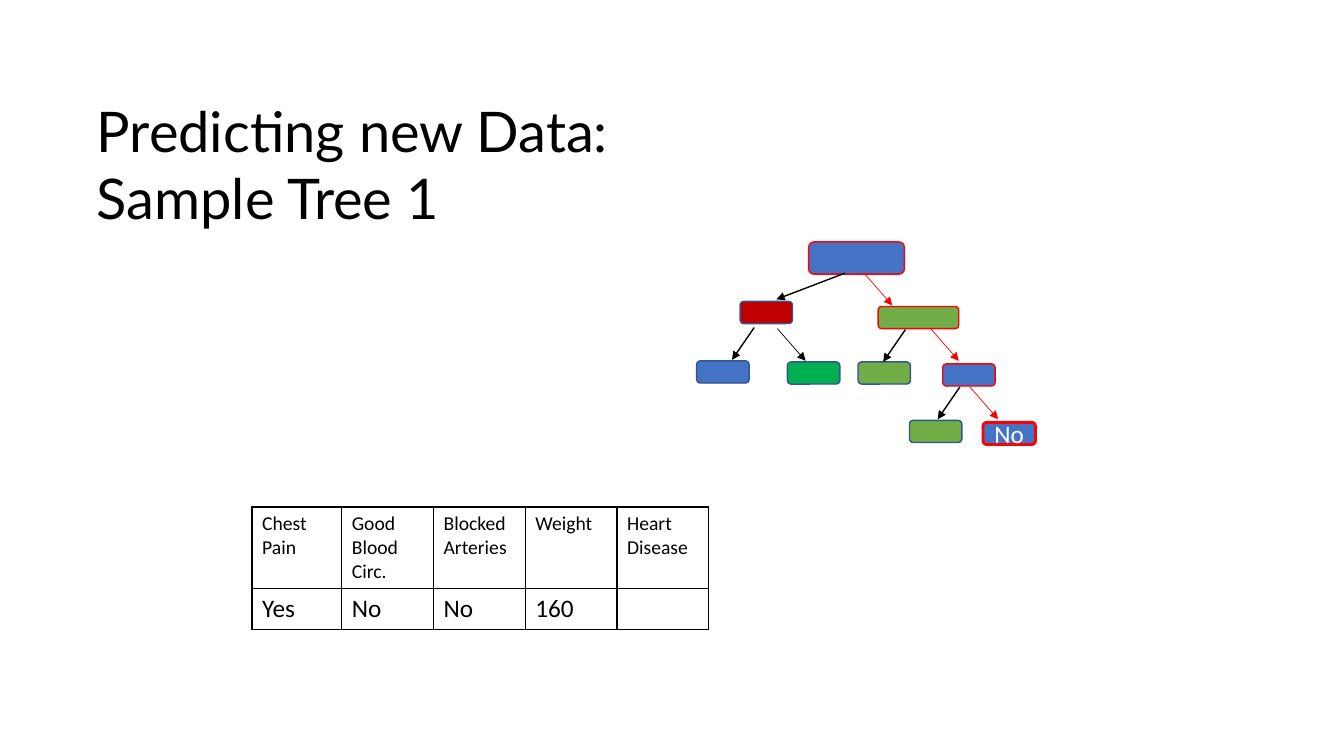
from lxml import etree
from pptx import Presentation
from pptx.dml.color import RGBColor
from pptx.enum.shapes import MSO_CONNECTOR as Connector, MSO_SHAPE as Shape
from pptx.enum.text import MSO_ANCHOR as Anchor, PP_ALIGN as Align
from pptx.oxml import parse_xml
from pptx.oxml.ns import nsdecls, qn
from pptx.util import Inches, Pt

BLACK = RGBColor(0x00, 0x00, 0x00)
WHITE = RGBColor(0xFF, 0xFF, 0xFF)
RED = RGBColor(0xFF, 0x00, 0x00)
DARK_RED = RGBColor(0xC0, 0x00, 0x00)
BLUE = RGBColor(0x44, 0x72, 0xC4)
EDGE_BLUE = RGBColor(0x32, 0x54, 0x91)
GREEN = RGBColor(0x70, 0xAD, 0x47)
BRIGHT_GREEN = RGBColor(0x00, 0xB0, 0x50)


class TreeSlide:
    title_font = "Lato"
    body_font = "Calibri"

    def __init__(self, deck):
        self.slide = deck.slides.add_slide(deck.slide_layouts[5])
        self.shapes = self.slide.shapes

    def style(self, paragraph, size, color, font=body_font, align=Align.LEFT):
        paragraph.alignment = align
        paragraph.font.name = font
        paragraph.font.size = Pt(size)
        paragraph.font.color.rgb = color

    def title(self, text, left, top, width, height):
        heading = self.shapes.title
        heading.left, heading.top = Inches(left), Inches(top)
        heading.width, heading.height = Inches(width), Inches(height)
        frame = heading.text_frame
        frame.text = text
        frame.word_wrap = True
        frame.vertical_anchor = Anchor.TOP
        self.style(frame.paragraphs[0], 40, BLACK, self.title_font)

    def node(self, left, top, fill, edge=EDGE_BLUE, width=0.52, height=0.22,
             weight=1, label=None):
        box = self.shapes.add_shape(
            Shape.ROUNDED_RECTANGLE, Inches(left), Inches(top), Inches(width), Inches(height))
        box.shadow.inherit = False
        box.fill.solid()
        box.fill.fore_color.rgb = fill
        box.line.color.rgb = edge
        box.line.width = Pt(weight)
        if label:
            frame = box.text_frame
            frame.text = label
            frame.vertical_anchor = Anchor.MIDDLE
            self.style(frame.paragraphs[0], 18, WHITE, align=Align.CENTER)

    def branch(self, x, y, dx, dy=0.32, color=BLACK, weight=1):
        arrow = self.shapes.add_connector(
            Connector.STRAIGHT, Inches(x), Inches(y), Inches(x + dx), Inches(y + dy))
        arrow.line.color.rgb = color
        arrow.line.width = Pt(weight)
        etree.SubElement(arrow.line._get_or_add_ln(), qn("a:tailEnd"), type="triangle")
        etree.SubElement(arrow._element.spPr, qn("a:effectLst"))

    def table(self, left, top, widths, heights, rows, sizes):
        grid = self.shapes.add_table(
            len(rows), len(widths), Inches(left), Inches(top),
            Inches(sum(widths)), Inches(sum(heights))).table
        grid.first_row = grid.horz_banding = False
        for column, width in zip(grid.columns, widths):
            column.width = Inches(width)
        for row, height, texts, size in zip(grid.rows, heights, rows, sizes):
            row.height = Inches(height)
            for cell, text in zip(row.cells, texts):
                cell.text = text
                for paragraph in cell.text_frame.paragraphs:
                    self.style(paragraph, size, BLACK)
                self.outline(cell)
                cell.fill.background()

    def outline(self, cell):
        properties = cell._tc.get_or_add_tcPr()
        for side in ("lnL", "lnR", "lnT", "lnB"):
            properties.append(parse_xml(
                f'<a:{side} {nsdecls("a")} w="{Pt(1)}"><a:solidFill>'
                f'<a:srgbClr val="{BLACK}"/></a:solidFill></a:{side}>'))


def main():
    deck = Presentation()
    deck.slide_width, deck.slide_height = Inches(13.33), Inches(7.5)
    page = TreeSlide(deck)
    page.title("Predicting new Data: Sample Tree 1", 0.86, 0.91, 6.15, 1.45)
    page.table(
        2.5, 5.03, [0.89] + [0.91] * 4, [0.8, 0.4],
        [["Chest Pain", "Good\nBlood\nCirc.", "Blocked\nArteries", "Weight", "Heart\nDisease"],
         ["Yes", "No", "No", "160", ""]],
        [14, 18])

    page.node(8.02, 2.4, BLUE, RED, width=0.95, height=0.32)
    page.node(8.71, 3.04, GREEN, RED, width=0.8)
    page.node(9.35, 3.61, BLUE, RED)
    page.node(9.75, 4.19, BLUE, RED, weight=2, label="No")
    for left, top, fill in [(7.34, 2.99, DARK_RED), (6.91, 3.58, BLUE),
                            (7.81, 3.59, BRIGHT_GREEN), (8.51, 3.59, GREEN),
                            (9.02, 4.17, GREEN)]:
        page.node(left, top, fill)

    page.branch(8.38, 2.71, -0.68, 0.26)
    for x, y in [(7.48, 3.25), (8.98, 3.27), (9.52, 3.84)]:
        page.branch(x, y, -0.22)
    for x, y, color in [(8.57, 2.71, RED), (9.23, 3.26, RED),
                        (9.62, 3.84, RED), (7.71, 3.26, BLACK)]:
        page.branch(x, y, 0.28, color=color, weight=0.5)
    deck.save("out.pptx")


if __name__ == "__main__":
    main()
